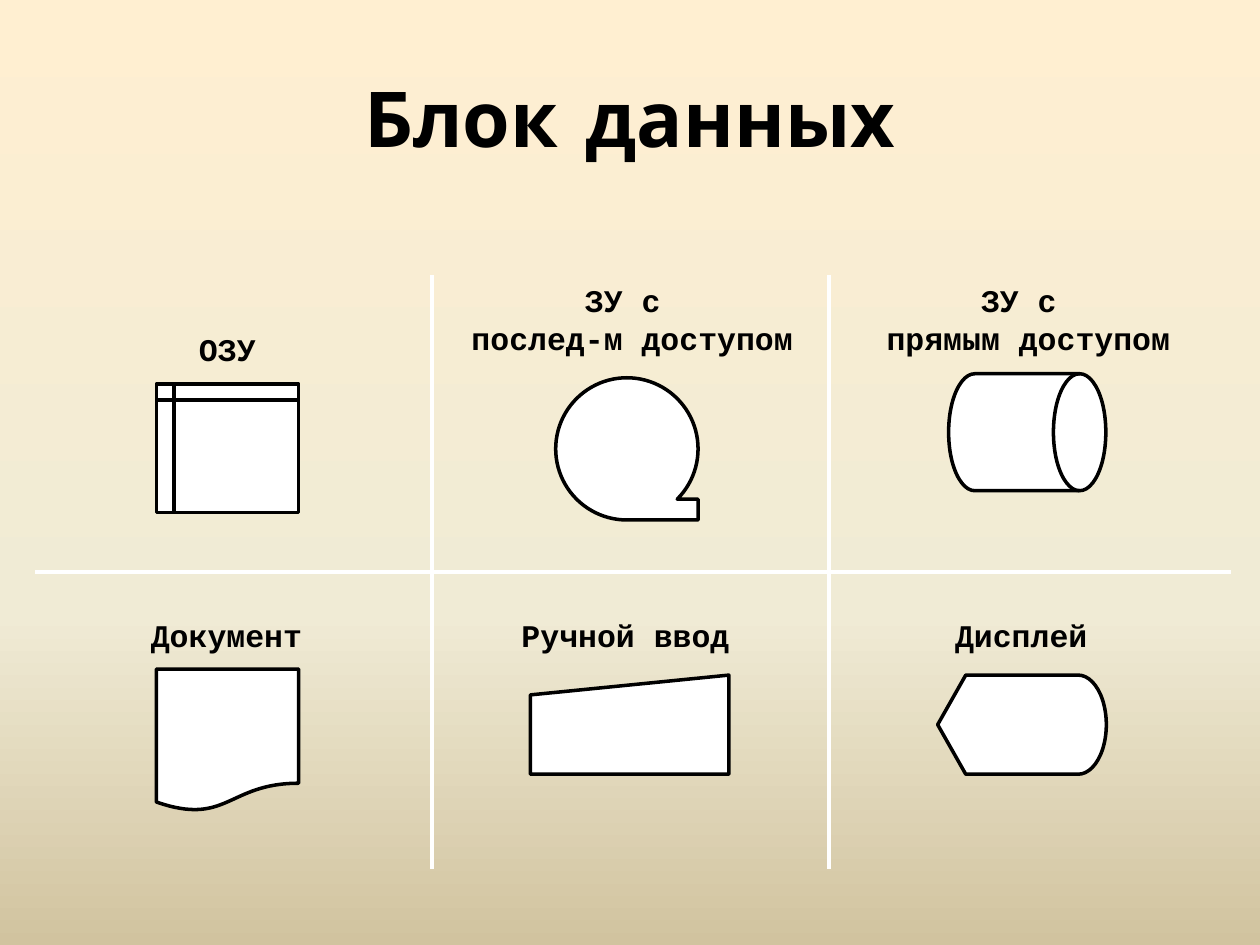
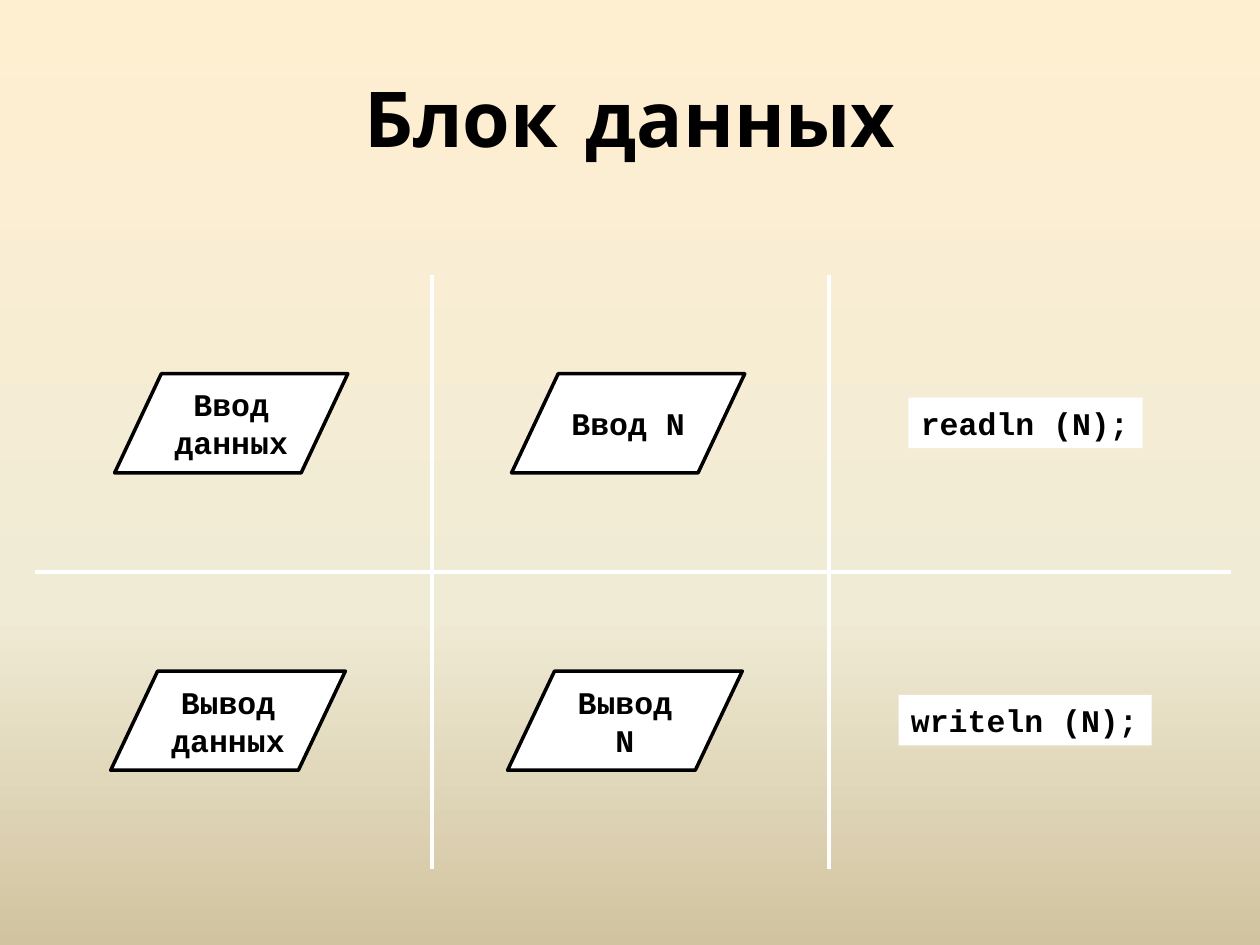
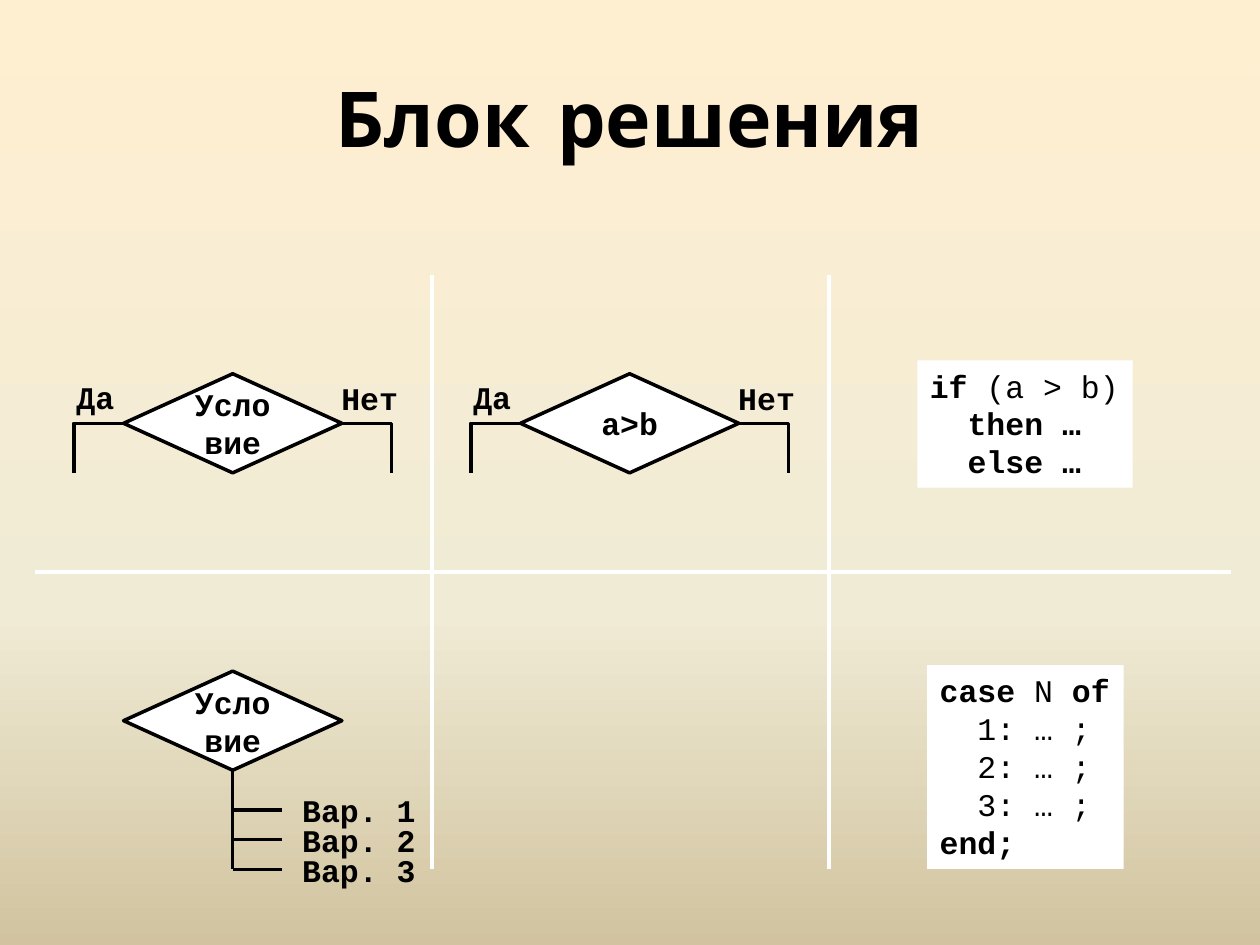
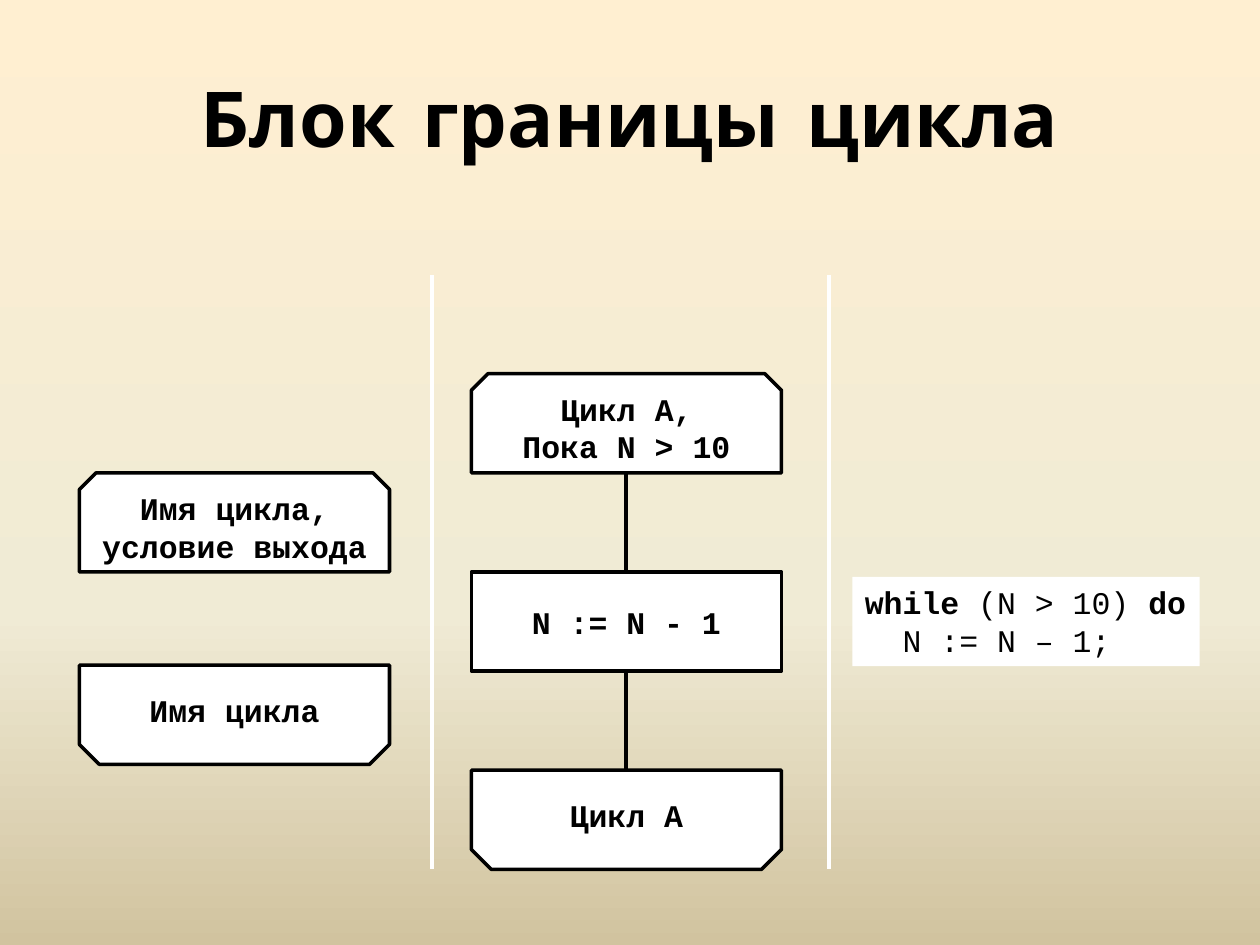
import copy
from collections import namedtuple

import pptx
import pptx.dml.color
import pptx.enum.shapes
import pptx.enum.text
import pptx.oxml
import pptx.util

Kind = pptx.enum.shapes.MSO_SHAPE
Link = pptx.enum.shapes.MSO_CONNECTOR
Align = pptx.enum.text.PP_ALIGN
Fit = pptx.enum.text.MSO_AUTO_SIZE
Anchor = pptx.enum.text.MSO_ANCHOR
Inch, Pt = pptx.util.Inches, pptx.util.Pt
Box = namedtuple("Box", "x y w h")


class Theme:
    """Colours, fonts and sizes of the whole deck."""
    ink, paper = "000000", "FFFFFF"
    sky = [(0, "FFEFD1"), (0.65, "F0EBD5"), (1, "D1C39F")]
    head, mono = "Comic Neue", "Courier New"
    big, text, rule = 44, 18, 2
    indent = 0.3


# Field of 3 x 2 cells, each cell 8 x 6 units
WIDE, HIGH = 10, 7.5
COLS, ROWS = 3, 2
FIELD = Box(0.28, 2.18, 9.45, 4.72)
ACROSS, DOWN = 8, 6
UX = FIELD.w / COLS / ACROSS
UY = FIELD.h / ROWS / DOWN
LINE = 1.02     # height of a one-line label, in units
PAIR = 1.8      # height of a two-line label, in units


def rgb(code):
    return pptx.dml.color.RGBColor.from_string(code)


def cell(col, row=0):
    w, h = ACROSS * UX, DOWN * UY
    return Box(FIELD.x + col * w, FIELD.y + row * h, w, h)


def inside(box, x, y, w, h):
    """A part of the box, measured in units from its corner."""
    return Box(box.x + x * UX, box.y + y * UY, w * UX, h * UY)


def style(font, size=Theme.text, face=Theme.mono, bold=True):
    font.size, font.name, font.bold = Pt(size), face, bold
    font.color.rgb = rgb(Theme.ink)


def write(frame, lines, align):
    """Fill a frame; a text between asterisks is bold among plain."""
    for i, line in enumerate(lines):
        para = frame.paragraphs[0] if i == 0 else frame.add_paragraph()
        para.alignment = align
        if line.startswith("\t"):
            para._p.get_or_add_pPr().set("marL", str(Inch(Theme.indent)))
            line = line[1:]
        bits = [(bit, n % 2 == 1)
                for n, bit in enumerate(line.split("*")) if bit]
        style(para.font, bold=bits[0][1] if len(bits) == 1 else False)
        for bit, bold in bits:
            run = para.add_run()
            run.text = bit
            if len(bits) > 1:
                run.font.bold = bold


def strong(text):
    return [f"*{line}*" for line in text.split("\n")]


def label(slide, box, text):
    """Bold caption; several lines are centred."""
    frame = slide.shapes.add_textbox(*map(Inch, box)).text_frame
    frame.word_wrap, frame.auto_size = False, Fit.SHAPE_TO_FIT_TEXT
    lines = strong(text)
    write(frame, lines, Align.CENTER if len(lines) > 1 else Align.LEFT)


def block(slide, box, kind, text="", cuts=()):
    """Flowchart symbol with an optional text."""
    shape = slide.shapes.add_shape(kind, *map(Inch, box))
    shape.shadow.inherit = False
    shape.fill.solid()
    shape.fill.fore_color.rgb = rgb(Theme.paper)
    shape.line.color.rgb = rgb(Theme.ink)
    shape.line.width = Pt(Theme.rule)
    for i, cut in enumerate(cuts):
        shape.adjustments[i] = cut
    if text:
        write(shape.text_frame, strong(text), Align.CENTER)
    return shape


def code(slide, box, lines):
    """White plate with program text."""
    plate = block(slide, box, Kind.RECTANGLE)
    plate.line.fill.background()
    frame = plate.text_frame
    frame.word_wrap, frame.auto_size = False, Fit.SHAPE_TO_FIT_TEXT
    frame.vertical_anchor = Anchor.TOP
    write(frame, lines, Align.LEFT)


def line(slide, x, y, to_x, to_y, hue=Theme.ink, kind=Link.STRAIGHT):
    link = slide.shapes.add_connector(kind, *map(Inch, (x, y, to_x, to_y)))
    link.line.color.rgb = rgb(hue)
    link.line.width = Pt(Theme.rule)
    props = link._element.spPr
    props.append(pptx.oxml.parse_xml(
        '<a:effectLst xmlns:a="http://schemas.openxmlformats.org/'
        'drawingml/2006/main"/>'))
    if kind == Link.ELBOW:
        props.prstGeom.set("prst", "bentConnector2")


def sky(deck):
    """Shared gradient on the master."""
    master = deck.slide_master
    fill = master.background.fill
    fill.gradient()
    fill.gradient_angle = 270
    stops = master.element.xpath(".//p:bg//a:gsLst")[0]
    stops.append(copy.deepcopy(stops[-1]))
    for stop, (place, hue) in zip(fill.gradient_stops, Theme.sky):
        stop.position = place
        stop.color.rgb = rgb(hue)


def page(deck, title, split=True):
    """Slide with its title and the white grid lines."""
    slide = deck.slides.add_slide(deck.slide_layouts[5])
    head = slide.shapes.title
    head.left, head.top, head.width, head.height = map(
        Inch, (0.05 * WIDE, 0.04 * HIGH, 0.9 * WIDE, HIGH / 6))
    head.text_frame.text = title
    head.text_frame.vertical_anchor = Anchor.MIDDLE
    para = head.text_frame.paragraphs[0]
    para.alignment = Align.CENTER
    style(para.font, Theme.big, Theme.head)
    for col in range(1, COLS):
        x = cell(col).x
        line(slide, x, FIELD.y, x, FIELD.y + FIELD.h, Theme.paper)
    if split:
        y = cell(0, 1).y
        line(slide, FIELD.x, y, FIELD.x + FIELD.w + 0.04, y, Theme.paper)
    return slide


def media(deck):
    """Symbols of data carriers, one in each cell."""
    slide = page(deck, "Блок данных")
    items = [
        (0, 0, Kind.FLOWCHART_INTERNAL_STORAGE, (2.44, 2.21, 2.87, 2.59),
         "ОЗУ", (3.05, 0.99, 1.65, LINE)),
        (1, 0, Kind.FLOWCHART_SEQUENTIAL_ACCESS_STORAGE,
         (2.49, 2.08, 2.87, 2.87),
         "ЗУ с \nпослед-м доступом", (0.53, 0, 7, PAIR)),
        (2, 0, Kind.FLOWCHART_DIRECT_ACCESS_STORAGE, (2.41, 2, 3.17, 2.36),
         "ЗУ с \nпрямым доступом", (0.89, 0, 6.25, PAIR)),
        (0, 1, Kind.FLOWCHART_DOCUMENT, (2.44, 1.96, 2.87, 2.87),
         "Документ", (2.08, 0.76, 3.58, LINE)),
        (1, 1, Kind.FLOWCHART_MANUAL_INPUT, (1.98, 2.08, 4, 2),
         "Ручной ввод", (1.55, 0.76, 4.72, LINE)),
        (2, 1, Kind.FLOWCHART_DISPLAY, (2.19, 2.08, 3.4, 2),
         "Дисплей", (2.29, 0.76, 3.2, LINE)),
    ]
    for col, row, kind, area, text, spot in items:
        box = cell(col, row)
        block(slide, inside(box, *area), kind)
        label(slide, inside(box, *spot), text)


def access(deck):
    """Input and output: general form, example, code."""
    slide = page(deck, "Блок данных")
    rows = [("Ввод", "readln (N);", 1.6, 4.7, 1.6, 4.72),
            ("Вывод", "writeln (N);", 1.52, 4.73, 1.4, 5.1)]
    for row, (verb, call, x, w, left, wide) in enumerate(rows):
        for col, noun in enumerate(("данных", "N")):
            block(slide, inside(cell(col, row), x, 2, w, 2),
                  Kind.FLOWCHART_DATA, f"{verb} {noun}")
        code(slide, inside(cell(2, row), left, 2.48, wide, LINE),
             strong(call))


def test(slide, box, text):
    """Decision diamond; gives back its box."""
    area = inside(box, 1.78, 2, 4.4, 2)
    block(slide, area, Kind.FLOWCHART_DECISION, text)
    return area


def fork(slide, box, text):
    """Decision with a yes arm and a no arm."""
    area = test(slide, box, text)
    mid = area.y + area.h / 2
    for x, side in ((area.x, -1), (area.x + area.w, 1)):
        line(slide, x, mid, x + side * UX, mid + UY, kind=Link.ELBOW)
    label(slide, inside(box, 0.58, 1.96, 1.27, LINE), "Да")
    label(slide, inside(box, 5.92, 1.98, 1.65, LINE), "Нет")


def choice(slide, box, text, count):
    """Decision with a stem of numbered branches."""
    area = test(slide, box, text)
    x, foot = area.x + area.w / 2, box.y + box.h
    line(slide, x, area.y + area.h, x, foot)
    for i in range(count):
        step = 4.8 + 0.6 * i
        y = box.y + step * UY
        line(slide, x, y, x + UX, y)
        label(slide, inside(box, 5.13, step - 0.5, 2.82, LINE),
              f"Вар. {i + 1}")


def decide(deck):
    """Two-way and many-way decisions with their code."""
    slide = page(deck, "Блок решения")
    fork(slide, cell(0), "Условие")
    fork(slide, cell(1), "a>b")
    choice(slide, cell(0, 1), "Условие", 3)
    code(slide, inside(cell(2), 1.78, 1.73, 4.34, 2.57),
         ["*if *(a > b)", "\t*then …*", "\t*else …*"])
    cases = [f"\t{n}: … ;" for n in range(1, 4)]
    code(slide, inside(cell(2, 1), 1.98, 1.88, 3.96, 4.11),
         ["*case *N* of*", *cases, "*end;*"])


def loop(deck):
    """Loop limits: general form, example, code."""
    slide = page(deck, "Блок границы цикла", split=False)
    top, flat, end = (), (0, 0), (0, 0.2)
    chain = [(0, 0.89, 4, "Имя цикла,\nусловие выхода", top),
             (0, 0.89, 7.88, "Имя цикла", end),
             (1, 0.79, 2, "Цикл А,\nПока N > 10", top),
             (1, 0.79, 6, "N := N - 1", flat),
             (1, 0.79, 10, "Цикл А", end)]
    for col, x, y, text, cuts in chain:
        block(slide, inside(cell(col), x, y, 6.25, 2),
              Kind.SNIP_2_SAME_RECTANGLE, text, cuts)
    # Links between the example's blocks
    for y in (4, 8):
        gap = inside(cell(1), 3.91, y, 0, 2)
        line(slide, gap.x, gap.y, gap.x, gap.y + gap.h)
    code(slide, inside(cell(2), 0.47, 6.1, 7, PAIR),
         ["*while *(N > 10) *do*", "\tN := N – 1;"])


deck = pptx.Presentation()
deck.slide_width, deck.slide_height = Inch(WIDE), Inch(HIGH)
sky(deck)
for build in (media, access, decide, loop):
    build(deck)
deck.save("out.pptx")
